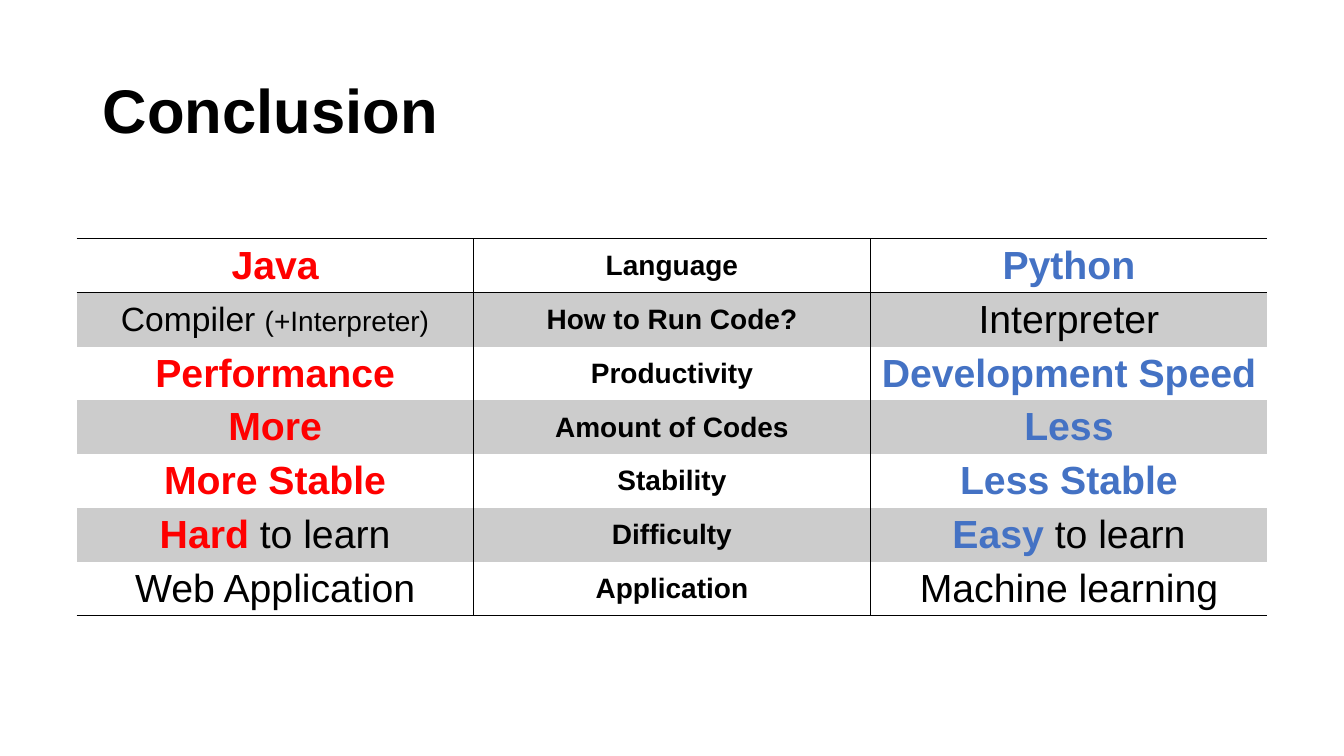
from lxml import etree
from pptx import Presentation
from pptx.dml.color import RGBColor
from pptx.enum import text
from pptx.oxml import ns
from pptx.util import Inches, Pt

FONT = "Arial"
BLACK, RED, BLUE, GRAY = "000000", "FF0000", "4472C4", "CCCCCC"
TITLE = "Conclusion"

# Each outer cell is a list of runs: (words, size, colour, bold)
ROWS = [
    ([("Java", 28, RED, True)], "Language", [("Python", 28, BLUE, True)]),
    ([("Compiler ", 24, BLACK, False), ("(+Interpreter)", 20, BLACK, False)],
     "How to Run Code?", [("Interpreter", 28, BLACK, False)]),
    ([("Performance", 28, RED, True)], "Productivity",
     [("Development Speed", 28, BLUE, True)]),
    ([("More", 28, RED, True)], "Amount of Codes", [("Less", 28, BLUE, True)]),
    ([("More Stable", 28, RED, True)], "Stability",
     [("Less Stable", 28, BLUE, True)]),
    ([("Hard", 28, RED, True), (" to learn", 28, BLACK, False)], "Difficulty",
     [("Easy ", 28, BLUE, True), ("to learn", 28, BLACK, False)]),
    ([("Web Application", 28, BLACK, False)], "Application",
     [("Machine learning", 28, BLACK, False)]),
]
TABLE_LEFT, TABLE_TOP, TABLE_WIDTH, TABLE_HEIGHT = 0.76, 2.37, 11.81, 3.74


def color(value):
    return RGBColor.from_string(value)


def add_run(para, words, size, tint, bold):
    span = para.add_run()
    span.text = words
    span.font.name = FONT
    span.font.size = Pt(size)
    span.font.bold = bold
    span.font.color.rgb = color(tint)


def set_borders(cell, visible):
    """Draw a 1 pt black line on the sides in visible, none on the others."""
    properties = cell._tc.get_or_add_tcPr()
    for side in "LRTB":
        line = etree.SubElement(properties, ns.qn(f"a:ln{side}"), w=str(Pt(1)))
        if side in visible:
            fill = etree.SubElement(line, ns.qn("a:solidFill"))
            etree.SubElement(fill, ns.qn("a:srgbClr"), val=BLACK)
        else:
            etree.SubElement(line, ns.qn("a:noFill"))


def add_title(page):
    title = page.shapes.title
    title.left, title.top = Inches(0.92), Inches(0.4)
    title.width, title.height = Inches(11.5), Inches(1.45)
    title.text_frame.vertical_anchor = text.MSO_ANCHOR.MIDDLE
    para = title.text_frame.paragraphs[0]
    para.alignment = text.PP_ALIGN.LEFT
    para.line_spacing = 0.9
    add_run(para, TITLE, 44, BLACK, True)


def fill_cell(cell, runs, borders, shaded):
    set_borders(cell, borders)
    if shaded:
        cell.fill.solid()
        cell.fill.fore_color.rgb = color(GRAY)
    else:
        cell.fill.background()
    cell.vertical_anchor = text.MSO_ANCHOR.MIDDLE
    cell.margin_top = cell.margin_bottom = Inches(0.04)
    para = cell.text_frame.paragraphs[0]
    para.alignment = text.PP_ALIGN.CENTER
    for run in runs:
        add_run(para, *run)


def add_comparison(page):
    frame = page.shapes.add_table(
        len(ROWS), 3, Inches(TABLE_LEFT), Inches(TABLE_TOP),
        Inches(TABLE_WIDTH), Inches(TABLE_HEIGHT))
    table = frame.table
    table.first_row = table.horz_banding = False
    last = len(ROWS) - 1
    for r, (java, topic, python) in enumerate(ROWS):
        table.rows[r].height = Inches(TABLE_HEIGHT / len(ROWS))
        across = ("T" if r <= 1 else "") + ("B" if r in (0, last) else "")
        columns = (java, [(topic, 20, BLACK, True)], python)
        for c, (runs, upright) in enumerate(zip(columns, ("R", "LR", "L"))):
            fill_cell(table.cell(r, c), runs, across + upright, r % 2 == 1)


def main():
    deck = Presentation()
    deck.slide_width, deck.slide_height = Inches(13.33), Inches(7.5)
    page = deck.slides.add_slide(deck.slide_layouts[5])
    add_title(page)
    add_comparison(page)
    deck.save("out.pptx")


if __name__ == "__main__":
    main()
